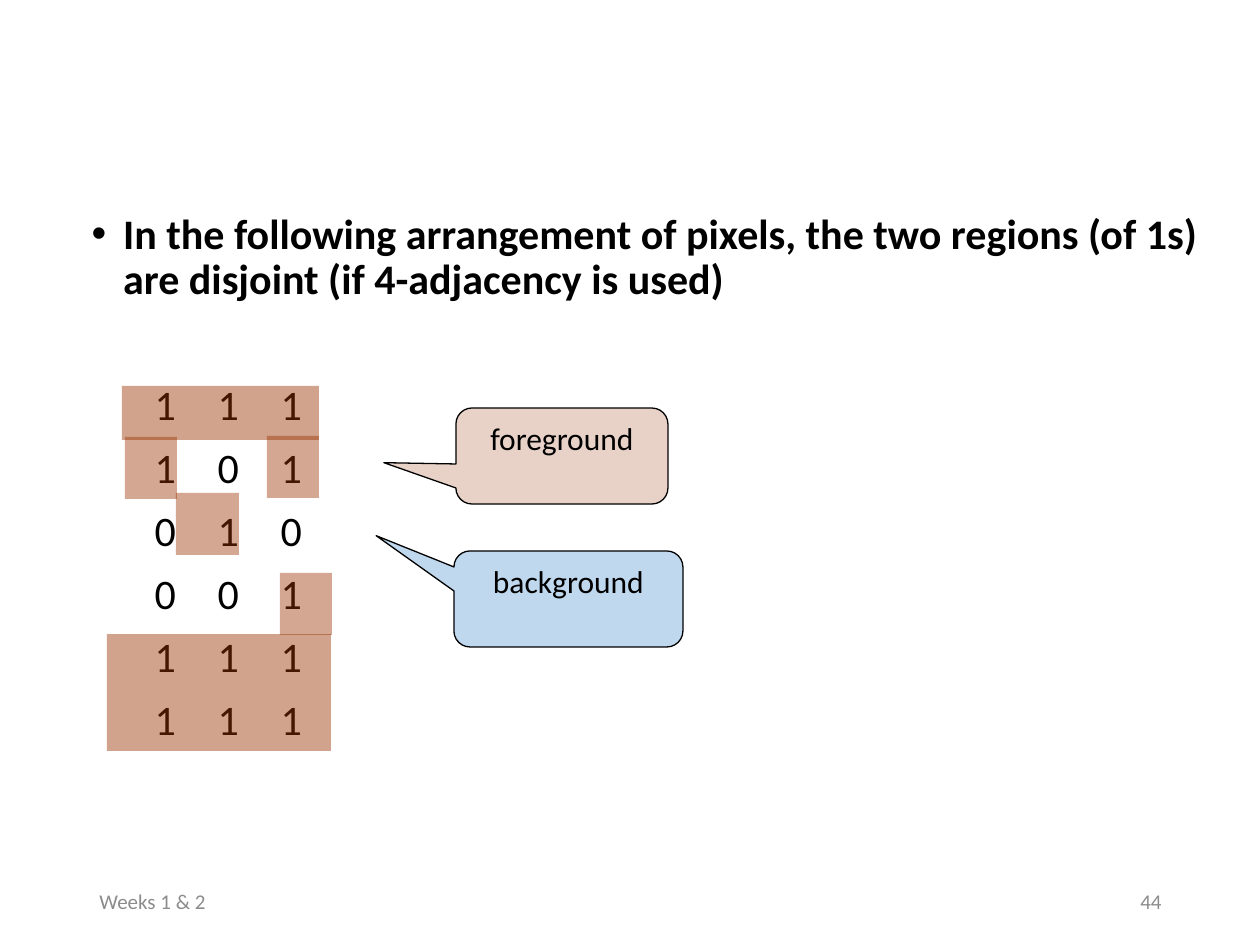
from lxml import etree
from pptx import Presentation, util as u
from pptx.dml.color import RGBColor
from pptx.enum import shapes, text
from pptx.oxml.ns import qn

SCALE = u.Inches(1) / 126  # EMU in one px
RUST, BLUE, BLACK, GREY = "993300", "5B9BD5", "000000", "8C8C8C"


def px(n):
    return u.Emu(round(n * SCALE))


def rgb(value):
    return RGBColor.from_string(value)


class SlideBuilder:
    font = "Calibri"

    def __init__(self, prs):
        self.s = prs.slides.add_slide(prs.slide_layouts[1])
        title = self.s.shapes.title
        title.element.getparent().remove(title.element)

    def style(self, p, size, color, bold=False):
        for r in p.runs:
            f = r.font
            f.name, f.size, f.bold = self.font, u.Pt(size), bold
            f.color.rgb = rgb(color)

    def label(self, x, y, w, h, words, align):
        tf = self.s.shapes.add_textbox(px(x), px(y), px(w), px(h)).text_frame
        tf.word_wrap = True
        tf.vertical_anchor = text.MSO_ANCHOR.MIDDLE
        tf.text = words
        tf.paragraphs[0].alignment = align
        self.style(tf.paragraphs[0], 12, GREY)

    def shape(self, kind, x, y, w, h, color, alpha):
        sp = self.s.shapes.add_shape(kind, px(x), px(y), px(w), px(h))
        sp.shadow.inherit = False
        sp.fill.solid()
        sp.fill.fore_color.rgb = rgb(color)
        clr = sp.fill._xPr.find(qn("a:solidFill"))[0]
        etree.SubElement(clr, qn("a:alpha"), val=str(alpha * 1000))
        sp.line.fill.background()
        return sp

    def region(self, x, y, w, h, alpha=43):
        self.shape(shapes.MSO_SHAPE.RECTANGLE, x, y, w, h, RUST, alpha)

    def callout(self, x, y, w, h, words, color, alpha, tip):
        kind = shapes.MSO_SHAPE.ROUNDED_RECTANGULAR_CALLOUT
        sp = self.shape(kind, x, y, w, h, color, alpha)
        sp.adjustments[0], sp.adjustments[1] = tip
        sp.line.color.rgb = rgb(BLACK)
        sp.line.width = u.Pt(0.75)
        tf = sp.text_frame
        tf.vertical_anchor = text.MSO_ANCHOR.TOP
        tf.text = words
        tf.paragraphs[0].alignment = text.PP_ALIGN.CENTER
        self.style(tf.paragraphs[0], 18, BLACK)

    def body(self, x, y, w, h, statement, rows, first_tab, tab_step):
        sp = self.s.placeholders[1]
        sp.left, sp.top, sp.width, sp.height = map(px, (x, y, w, h))
        tf = sp.text_frame
        tf.auto_size = text.MSO_AUTO_SIZE.NONE
        tf.vertical_anchor = text.MSO_ANCHOR.TOP

        # Bulleted statement
        p = tf.paragraphs[0]
        p.text = statement
        p.line_spacing, p.space_before = 0.9, u.Pt(0)
        pPr = p._p.get_or_add_pPr()
        pPr.set("marL", str(u.Inches(0.25)))
        pPr.set("indent", str(-u.Inches(0.25)))
        etree.SubElement(pPr, qn("a:buFont"), typeface="Arial")
        etree.SubElement(pPr, qn("a:buChar"), char="•")
        self.style(p, 24, BLACK, bold=True)

        # Pixel rows, each value centred on a tab stop
        for i, row in enumerate(rows):
            p = tf.add_paragraph()
            p.text = "".join("\t" + value for value in row)
            p.line_spacing, p.space_before = 0.9, u.Pt(10 if i else 46)
            pPr = p._p.get_or_add_pPr()
            pPr.set("marL", "0")
            pPr.set("indent", "0")
            etree.SubElement(pPr, qn("a:buNone"))
            tabs = etree.SubElement(pPr, qn("a:tabLst"))
            for col in range(len(row)):
                pos = px(first_tab + col * tab_step)
                etree.SubElement(tabs, qn("a:tab"), pos=str(pos), algn="ctr")
            self.style(p, 24, BLACK)


def main():
    prs = Presentation()
    prs.slide_width, prs.slide_height = px(1260), px(945)
    b = SlideBuilder(prs)

    # Footer and slide number
    b.label(87, 876, 284, 50, "Weeks 1 & 2", text.PP_ALIGN.LEFT)
    b.label(890, 876, 284, 50, "44", text.PP_ALIGN.RIGHT)

    # Statement and pixel grid
    b.body(79, 207, 1177, 620,
           "In the following arrangement of pixels, the two regions (of 1s) "
           "are disjoint (if 4-adjacency is used)",
           ["111", "101", "010", "001", "111", "111"], 48, 78)

    # Foreground regions
    b.region(122, 386, 197, 54, 45)
    for x, y, w in [(125, 437, 52), (267, 436, 52), (176, 493, 63)]:
        b.region(x, y, w, 62)
    b.region(107, 634, 224, 117, 45)
    b.region(280, 573, 52, 62)

    # Legend callouts
    b.callout(456, 408, 212, 96, "foreground", RUST, 22, (-0.84, 0.07))
    b.callout(454, 551, 229, 96, "background", BLUE, 39, (-0.84, -0.66))

    prs.save("out.pptx")


if __name__ == "__main__":
    main()
